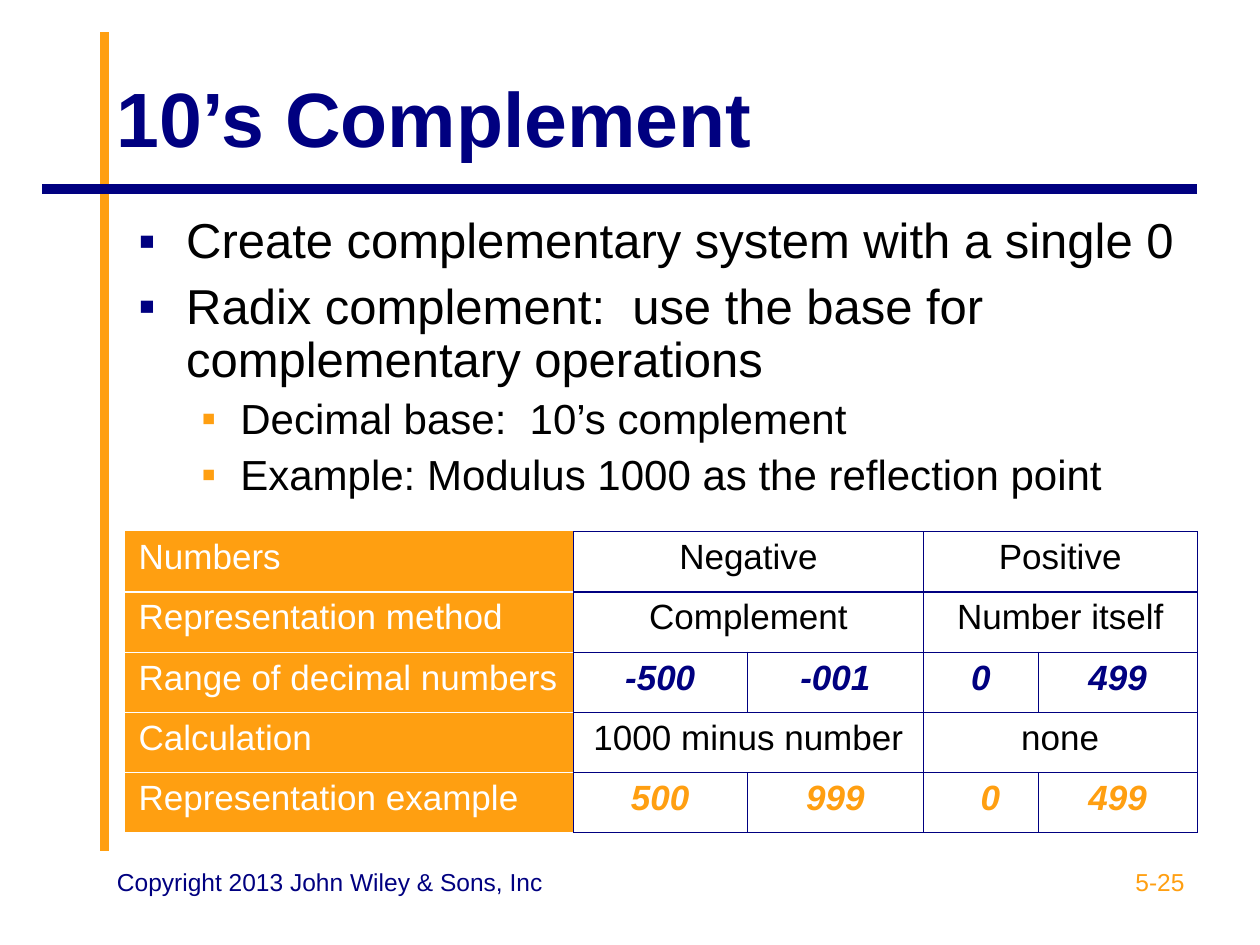
from dataclasses import dataclass

import pptx
import pptx.dml.color
import pptx.enum.shapes
import pptx.enum.text
import pptx.oxml.ns
import pptx.util
from lxml import etree

Inches = pptx.util.Inches
Pt = pptx.util.Pt
RGBColor = pptx.dml.color.RGBColor
ALIGN = pptx.enum.text.PP_ALIGN
ANCHOR = pptx.enum.text.MSO_ANCHOR
qn = pptx.oxml.ns.qn


@dataclass(frozen=True)
class Theme:
    font: str = "Arial"
    navy: str = "000080"
    orange: str = "FF9F11"
    white: str = "FFFFFF"
    black: str = "000000"
    title: int = 44
    body: int = 28
    sub: int = 24
    cell: int = 20
    footer: int = 14
    rule: float = 5.5
    border: float = 0.75
    edge: float = 0.45


def add_xml(parent, tag, **attrs):
    return etree.SubElement(parent, qn(tag), attrs)


class SlideBuilder:
    def __init__(self, slide, theme):
        self.s = slide
        self.theme = theme

    def style(self, p, size, color, bold=False, italic=False):
        font = p.font
        font.name, font.size = self.theme.font, Pt(size)
        font.bold, font.italic = bold, italic
        font.color.rgb = RGBColor.from_string(color)

    def rule(self, start, end, color):
        line = self.s.shapes.add_connector(
            pptx.enum.shapes.MSO_CONNECTOR.STRAIGHT,
            *map(Inches, start + end))
        line.line.color.rgb = RGBColor.from_string(color)
        line.line.width = Pt(self.theme.rule)
        add_xml(line._element.spPr, "a:effectLst")

    def frame(self, box, anchor=ANCHOR.TOP):
        """Add an empty wrapping text box and return its text frame."""
        tf = self.s.shapes.add_textbox(*map(Inches, box)).text_frame
        tf.word_wrap = True
        tf.vertical_anchor = anchor
        return tf

    def label(self, box, text, size, color, align=ALIGN.LEFT,
              anchor=ANCHOR.TOP, bold=False):
        p = self.frame(box, anchor).paragraphs[0]
        p.text = text
        p.alignment = align
        self.style(p, size, color, bold)

    def bullets(self, box, items):
        t = self.theme
        levels = [(0.38, -0.38, 7, t.navy, t.body),
                  (0.81, -0.31, 6, t.orange, t.sub)]
        tf = self.frame(box)
        for i, (level, text) in enumerate(items):
            margin, indent, before, color, size = levels[level]
            p = tf.add_paragraph() if i else tf.paragraphs[0]
            p.text = text
            p.level = level
            p.line_spacing = 0.9
            p.space_before = Pt(before if i else 0)
            pPr = p._p.get_or_add_pPr()
            pPr.set("marL", str(Inches(margin)))
            pPr.set("indent", str(Inches(indent)))
            add_xml(add_xml(pPr, "a:buClr"), "a:srgbClr", val=color)
            add_xml(pPr, "a:buFont", typeface=t.font)
            add_xml(pPr, "a:buChar", char="▪")
            self.style(p, size, t.black)

    def borders(self, cell, **sides):
        """Set cell borders; each side is a (colour, width) pair."""
        tcPr = cell._tc.get_or_add_tcPr()
        for side in "LRTB":
            color, width = sides[side]
            ln = add_xml(tcPr, f"a:ln{side}", w=str(Pt(width)))
            add_xml(add_xml(ln, "a:solidFill"), "a:srgbClr", val=color)

    def table(self, box, widths, rows):
        """Rows are (heading, values, value colour); two values span pairs."""
        t = self.theme
        table = self.s.shapes.add_table(
            len(rows), len(widths), *map(Inches, box)).table
        table.first_row = table.horz_banding = False
        for column, width in zip(table.columns, widths):
            column.width = Inches(width)
        navy = (t.navy, t.border)
        orange = (t.orange, t.border)
        white = (t.white, t.border)
        last = len(rows) - 1
        for r, (heading, values, color) in enumerate(rows):
            table.rows[r].height = Inches(box[3] / len(rows))
            head = table.cell(r, 0)
            self.borders(head, L=orange, R=navy,
                         T=white if r else orange, B=white)
            head.fill.solid()
            head.fill.fore_color.rgb = RGBColor.from_string(t.orange)
            self.cell_text(head, heading, t.white)

            span = 4 // len(values)
            for c in range(1, 5):
                cell = table.cell(r, c)
                at_edge = c + span > 4
                self.borders(cell, L=navy, T=navy, B=navy,
                             R=(t.navy, t.edge) if at_edge else navy)
                cell.fill.background()
            for i, value in enumerate(values):
                c = 1 + i * span
                cell = table.cell(r, c)
                if span > 1:
                    cell.merge(table.cell(r, c + span - 1))
                self.cell_text(cell, value, color, ALIGN.CENTER, span == 1)
        # The zero of the last row sits slightly right of centre.
        table.cell(last, 3).margin_left = Inches(0.25)

    def cell_text(self, cell, text, color, align=ALIGN.LEFT, strong=False):
        p = cell.text_frame.paragraphs[0]
        p.text = text
        p.alignment = align
        self.style(p, self.theme.cell, color, strong, strong)


def main():
    prs = pptx.Presentation()
    prs.slide_width, prs.slide_height = Inches(10), Inches(7.5)
    t = Theme()
    b = SlideBuilder(prs.slides.add_slide(prs.slide_layouts[6]), t)

    b.rule((0.83, 6.75), (0.83, 0.25), t.orange)
    b.rule((9.5, 1.5), (0.33, 1.5), t.navy)
    b.label((0.83, 0.3, 8.67, 1.25), "10’s Complement", t.title, t.navy,
            anchor=ANCHOR.MIDDLE, bold=True)
    b.bullets((1, 1.67, 8.5, 2.39), [
        (0, "Create complementary system with a single 0"),
        (0, "Radix complement:  use the base for complementary operations"),
        (1, "Decimal base:  10’s complement"),
        (1, "Example: Modulus 1000 as the reflection point"),
    ])
    b.table((1, 4.22, 8.5, 2.39), [3.55, 1.38, 1.4, 0.91, 1.26], [
        ("Numbers", ["Negative", "Positive"], t.black),
        ("Representation method", ["Complement", "Number itself"], t.black),
        ("Range of decimal numbers", ["-500", "-001", "0", "499"], t.navy),
        ("Calculation", ["1000 minus number", "none"], t.black),
        ("Representation example", ["500", "999", "0", "499"], t.orange),
    ])
    b.label((7.17, 6.83, 2.33, 0.52), "5-25", t.footer, t.orange, ALIGN.RIGHT)
    b.label((0.83, 6.83, 3.67, 0.52), "Copyright 2013 John Wiley & Sons, Inc",
            t.footer, t.navy)
    prs.save("out.pptx")


if __name__ == "__main__":
    main()
